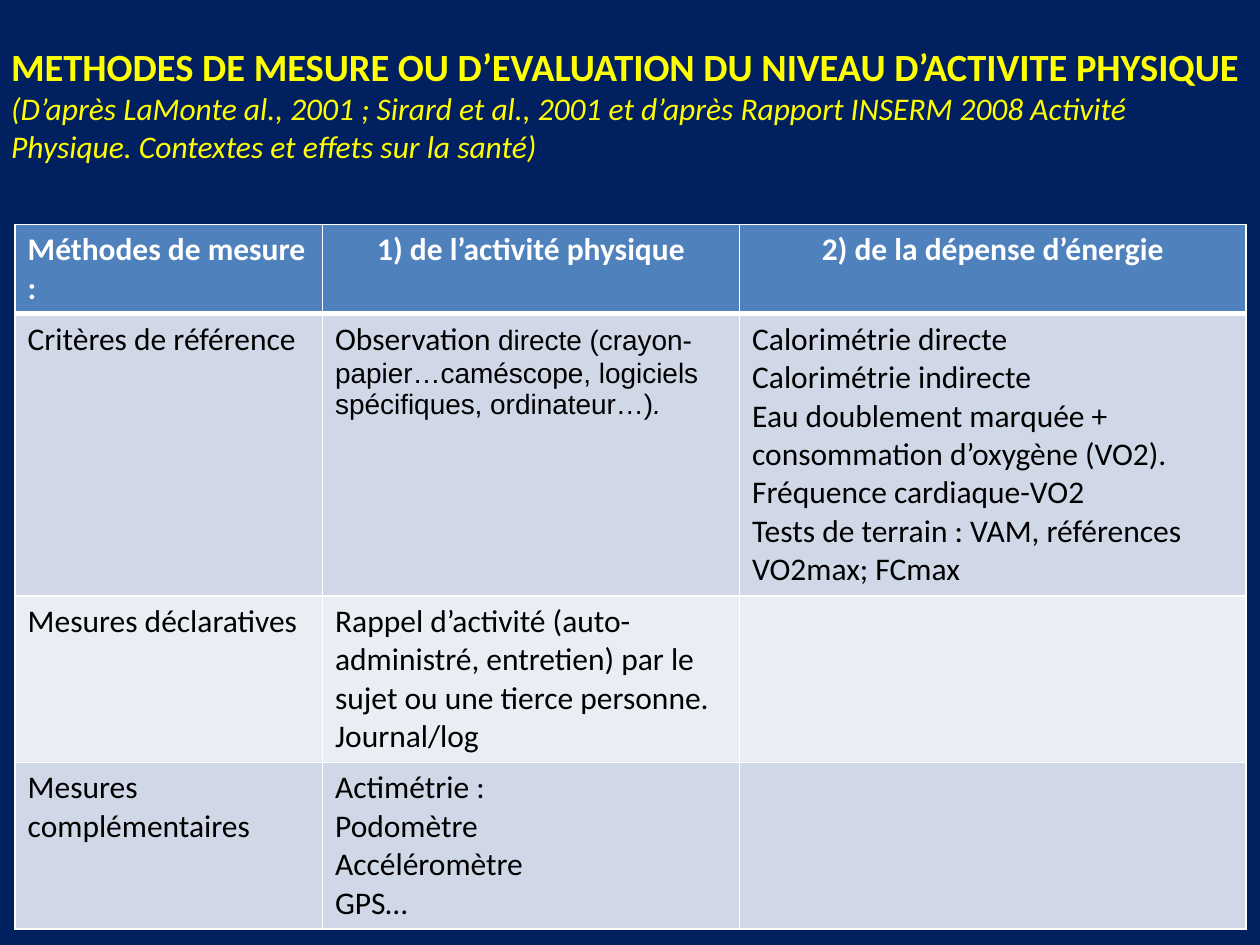
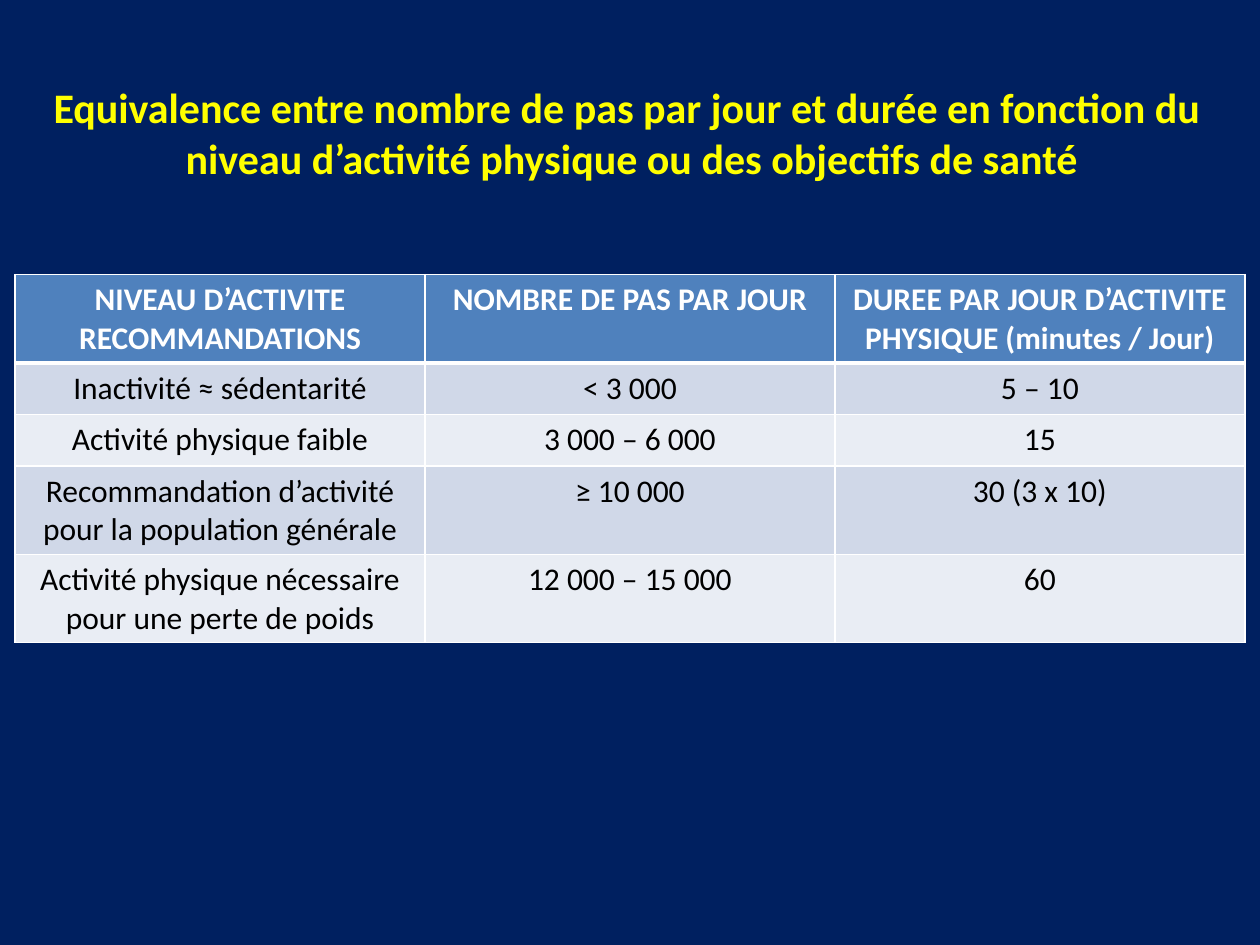
from dataclasses import dataclass

from lxml.etree import SubElement
from pptx import Presentation
from pptx.dml.color import RGBColor
from pptx.enum.text import MSO_AUTO_SIZE as AutoSize, PP_ALIGN as Align
from pptx.oxml.ns import qn
from pptx.util import Inches, Pt


@dataclass(frozen=True)
class Theme:
    """Colours, fonts and type sizes shared by the slides."""
    background: str = "002060"
    title: str = "FFFF00"
    header: str = "4F81BD"
    bands: tuple = ("D0D8E8", "E9EDF4")
    light: str = "FFFFFF"
    dark: str = "000000"
    font: str = "Calibri"
    detail_font: str = "Arial"
    body_size: int = 18
    detail_size: int = 16
    title_size: int = 22
    large_title_size: int = 24
    border: int = 1
    header_border: int = 3


THEME = Theme()
DETAIL = {"font": THEME.detail_font, "size": THEME.detail_size}

METHODS_TITLE = [
    [("METHODES DE MESURE OU D’EVALUATION DU NIVEAU D’ACTIVITE PHYSIQUE",
      {"size": THEME.title_size, "bold": True})],
    [("(D’après LaMonte al., 2001 ; Sirard et al., 2001 et d’après Rapport INSERM 2008 "
      "Activité Physique. Contextes et effets sur la santé)", {"italic": True})],
]
METHODS_ROWS = [
    [["Méthodes de mesure :"], ["1) de l’activité physique"], ["2) de la dépense d’énergie"]],
    [["Critères de référence"],
     [[("Observation ", {}),
       ("directe (crayon-papier…caméscope, logiciels spécifiques, ordinateur…)", DETAIL),
       (".", {**DETAIL, "italic": True})]],
     ["Calorimétrie directe", "Calorimétrie indirecte",
      "Eau doublement marquée + consommation d’oxygène (VO2).",
      "Fréquence cardiaque-VO2",
      "Tests de terrain : VAM, références VO2max; FCmax"]],
    [["Mesures déclaratives"],
     ["Rappel d’activité (auto-administré, entretien) par le sujet ou une tierce personne.",
      "Journal/log"],
     []],
    [["Mesures complémentaires"],
     ["Actimétrie :", "Podomètre", "Accéléromètre", "GPS…"],
     []],
]

LARGE_TITLE = {"size": THEME.large_title_size, "bold": True}
STEPS_TITLE = [
    [("Equivalence entre nombre de pas par jour et durée en fonction du ", LARGE_TITLE)],
    [("niveau d’activité physique ou des objectifs de santé", LARGE_TITLE)],
]
STEPS_ROWS = [
    [["NIVEAU D’ACTIVITE", "RECOMMANDATIONS"], ["NOMBRE DE PAS PAR JOUR"],
     ["DUREE PAR JOUR D’ACTIVITE", "PHYSIQUE (minutes / Jour)"]],
    [["Inactivité ≈ sédentarité"], ["< 3 000"], ["5 – 10"]],
    [["Activité physique faible"], ["3 000 – 6 000"], ["15"]],
    [["Recommandation d’activité pour la population générale"], ["≥ 10 000"], ["30 (3 x 10)"]],
    [["Activité physique nécessaire pour une perte de poids"], ["12 000 – 15 000"], ["60"]],
]


def write_text(text_frame, paragraphs, color, align, bold=False):
    """Write paragraphs, each a plain string or a list of (text, style) runs."""
    for index, content in enumerate(paragraphs):
        paragraph = text_frame.add_paragraph() if index else text_frame.paragraphs[0]
        paragraph.alignment = align
        runs = [(content, {})] if isinstance(content, str) else content
        for text, style in runs:
            run = paragraph.add_run()
            run.text = text
            run.font.name = style.get("font", THEME.font)
            run.font.size = Pt(style.get("size", THEME.body_size))
            run.font.bold = style.get("bold", bold)
            run.font.italic = style.get("italic", False)
            run.font.color.rgb = RGBColor.from_string(color)


def add_title(slide, box, paragraphs, align, wrap):
    """Place the yellow title text in the box."""
    text_frame = slide.shapes.add_textbox(*map(Inches, box)).text_frame
    text_frame.word_wrap = wrap
    text_frame.auto_size = AutoSize.SHAPE_TO_FIT_TEXT
    write_text(text_frame, paragraphs, THEME.title, align)


def style_cell(cell, fill, top, bottom):
    """Give a cell its white borders and its fill."""
    properties = cell._tc.get_or_add_tcPr()
    widths = {"lnL": THEME.border, "lnR": THEME.border, "lnT": top, "lnB": bottom}
    for side, width in widths.items():
        line = SubElement(properties, qn(f"a:{side}"), w=str(Pt(width)))
        solid = SubElement(line, qn("a:solidFill"))
        SubElement(solid, qn("a:srgbClr"), val=THEME.light)
    cell.fill.solid()
    cell.fill.fore_color.rgb = RGBColor.from_string(fill)


def add_banded_table(slide, box, rows, widths, heights, header_aligns, body_align):
    """Place a table with a blue header and alternating bands in the box."""
    frame = slide.shapes.add_table(len(rows), len(widths), *map(Inches, box))
    table = frame.table
    for column, width in zip(table.columns, widths):
        column.width = Inches(width)
    for row_index, (row, height) in enumerate(zip(rows, heights)):
        is_header = row_index == 0
        table.rows[row_index].height = Inches(height)
        fill = THEME.header if is_header else THEME.bands[(row_index - 1) % 2]
        color = THEME.light if is_header else THEME.dark
        top = THEME.header_border if row_index == 1 else THEME.border
        bottom = THEME.header_border if is_header else THEME.border
        for column_index, paragraphs in enumerate(row):
            cell = table.cell(row_index, column_index)
            style_cell(cell, fill, top, bottom)
            align = header_aligns[column_index] if is_header else body_align
            write_text(cell.text_frame, paragraphs, color, align, bold=is_header)


def add_slide(presentation):
    """Add a blank slide with the navy background."""
    slide = presentation.slides.add_slide(presentation.slide_layouts[6])
    slide.background.fill.solid()
    slide.background.fill.fore_color.rgb = RGBColor.from_string(THEME.background)
    return slide


def build_methods_slide(presentation):
    """Build the slide on methods of measuring physical activity."""
    slide = add_slide(presentation)
    add_banded_table(slide, (0.12, 1.78, 9.76, 5.59), METHODS_ROWS,
                     (2.44, 3.31, 4.02), (0.71, 2.24, 1.32, 1.32),
                     (Align.LEFT, Align.CENTER, Align.CENTER), Align.LEFT)
    add_title(slide, (-0.01, 0.29, 10.01, 1.08), METHODS_TITLE, Align.LEFT, wrap=True)


def build_steps_slide(presentation):
    """Build the slide relating steps per day to duration."""
    slide = add_slide(presentation)
    add_banded_table(slide, (0.12, 2.18, 9.76, 2.91), STEPS_ROWS,
                     (9.76 / 3,) * 3, (0.7, 0.41, 0.41, 0.7, 0.7),
                     (Align.CENTER,) * 3, Align.CENTER)
    add_title(slide, (0.28, 0.6, 9.47, 0.91), STEPS_TITLE, Align.CENTER, wrap=False)


def main():
    """Build and save the presentation."""
    presentation = Presentation()
    presentation.slide_width = Inches(10)
    presentation.slide_height = Inches(7.5)
    build_methods_slide(presentation)
    build_steps_slide(presentation)
    presentation.save("out.pptx")


if __name__ == "__main__":
    main()
